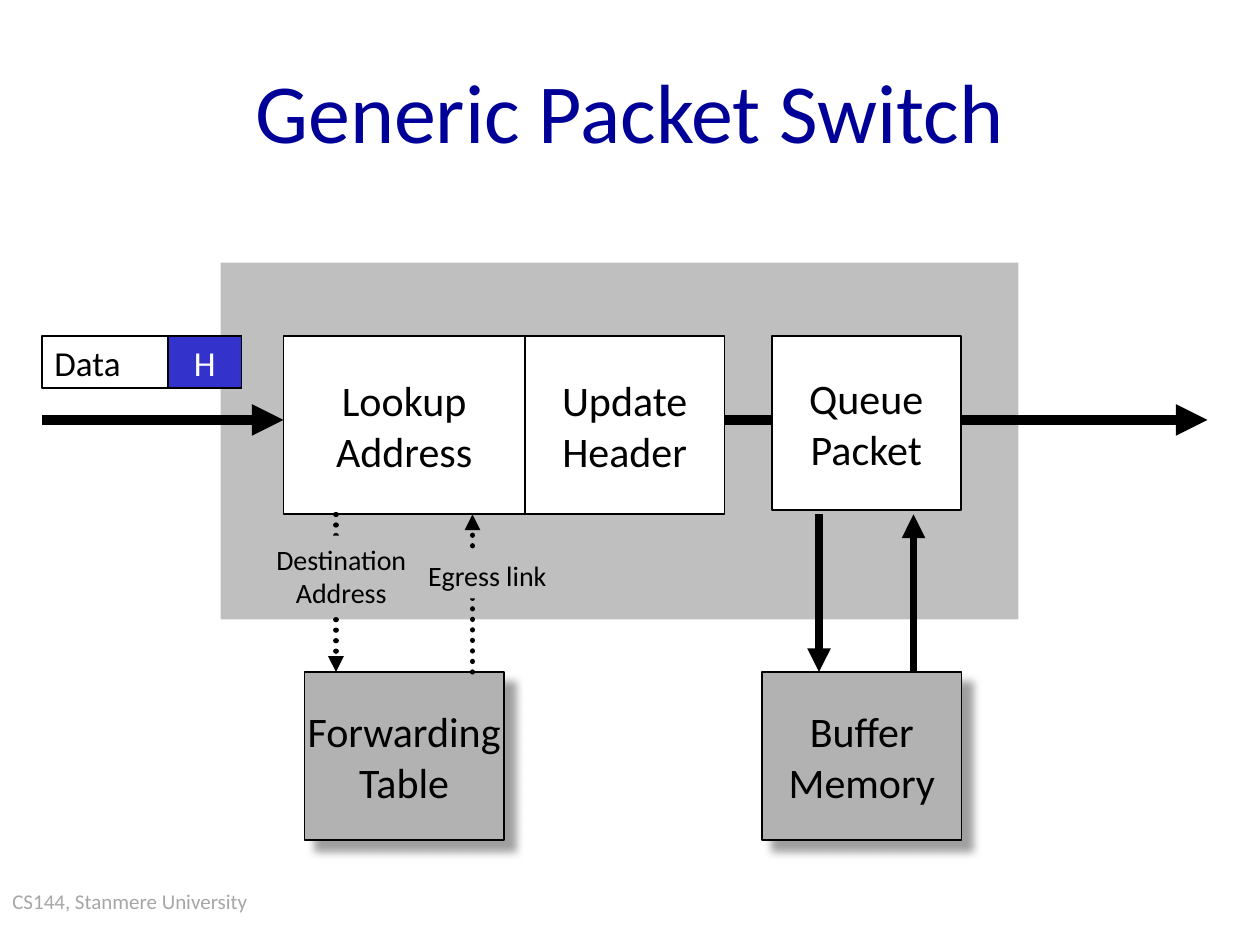
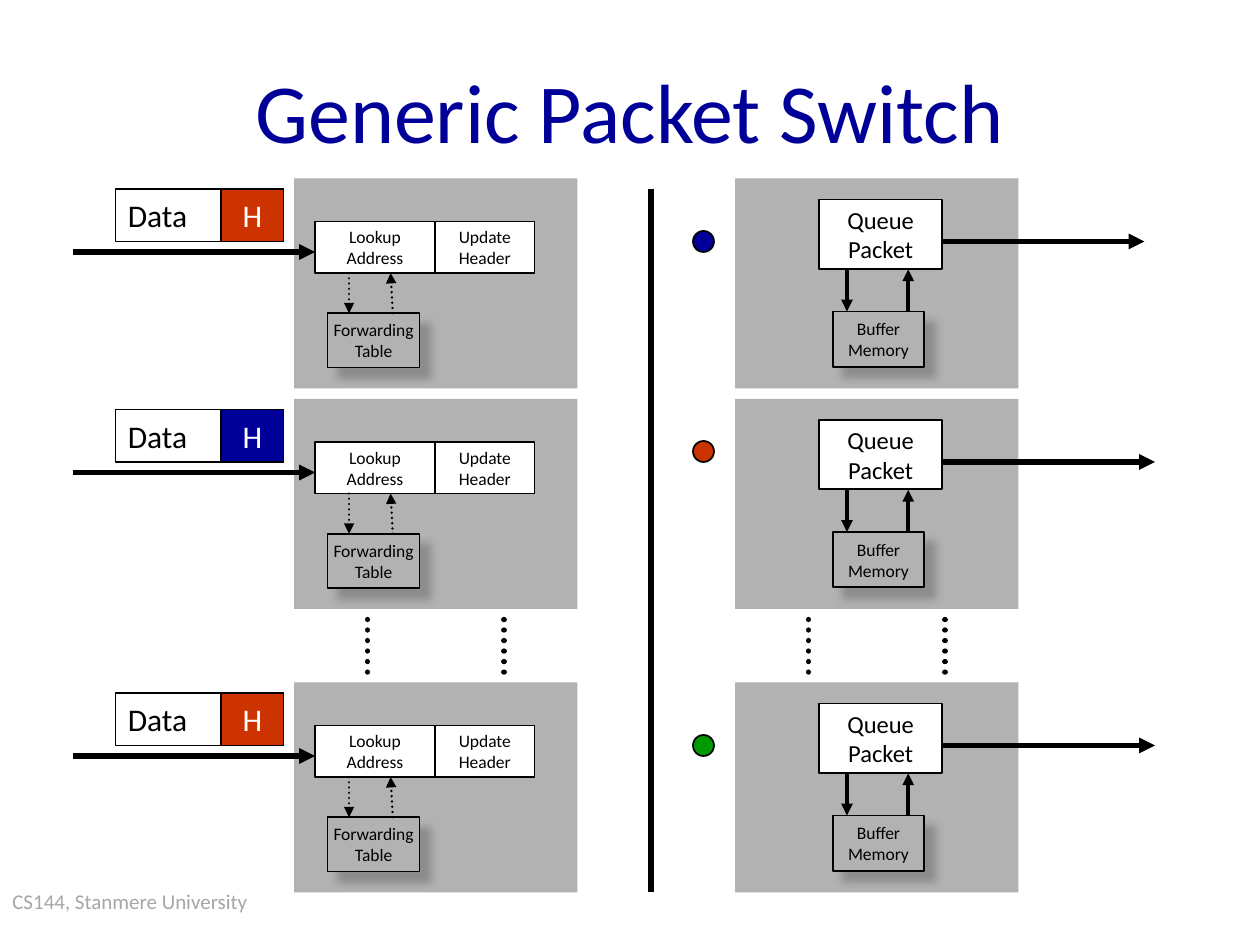
from dataclasses import dataclass

from lxml import etree
from pptx import Presentation
from pptx.dml.color import RGBColor
from pptx.enum.dml import MSO_LINE
from pptx.enum.shapes import MSO_CONNECTOR, MSO_SHAPE
from pptx.enum.text import MSO_ANCHOR, PP_ALIGN
from pptx.oxml.ns import qn
from pptx.util import Pt

RECTANGLE, OVAL = MSO_SHAPE.RECTANGLE, MSO_SHAPE.OVAL
STRAIGHT = MSO_CONNECTOR.STRAIGHT
DOTTED = MSO_LINE.ROUND_DOT
LEFT, CENTER = PP_ALIGN.LEFT, PP_ALIGN.CENTER
TOP, MIDDLE = MSO_ANCHOR.TOP, MSO_ANCHOR.MIDDLE


@dataclass(frozen=True)
class Theme:
    font: str = "Calibri"
    black: str = "000000"
    white: str = "FFFFFF"
    navy: str = "000099"
    violet: str = "3333CC"
    red: str = "CC3300"
    green: str = "009900"
    panel: str = "BFBFBF"
    gray: str = "B2B2B2"
    shadow: str = "808080"
    footer: str = "A6A6A6"
    title_size: float = 48
    stage_size: float = 24
    data_size: float = 20
    row_data_size: float = 18
    label_size: float = 16
    queue_size: float = 14
    footer_size: float = 12
    small_size: float = 10
    outline: float = 1


THEME = Theme()


def color(value):
    return RGBColor.from_string(value)


def write(shape, text, size, ink=THEME.black, align=CENTER, anchor=MIDDLE):
    frame = shape.text_frame
    frame.text = text
    frame.word_wrap = align == LEFT
    frame.vertical_anchor = anchor
    for paragraph in frame.paragraphs:
        paragraph.alignment = align
        paragraph.font.name = THEME.font
        paragraph.font.size = Pt(size)
        paragraph.font.color.rgb = color(ink)


def add_text(slide, bounds, text, size, ink, align=CENTER, anchor=MIDDLE):
    box = slide.shapes.add_textbox(*map(Pt, bounds))
    write(box, text, size, ink, align, anchor)


def add_box(slide, bounds, fill, outlined=True, kind=RECTANGLE):
    shape = slide.shapes.add_shape(kind, *map(Pt, bounds))
    shape.shadow.inherit = False
    shape.fill.solid()
    shape.fill.fore_color.rgb = color(fill)
    if outlined:
        shape.line.color.rgb = color(THEME.black)
        shape.line.width = Pt(THEME.outline)
    else:
        shape.line.fill.background()
    return shape


def add_stage(slide, bounds, text, size):
    write(add_box(slide, bounds, THEME.white), text, size)


def add_store(slide, bounds, text, size):
    shape = add_box(slide, bounds, THEME.gray)
    write(shape, text, size)
    effects = shape._element.spPr.find(qn("a:effectLst"))
    shadow = etree.SubElement(effects, qn("a:outerShdw"), blurRad=str(Pt(5)),
                              dist=str(Pt(8.5)), dir="2700000", algn="ctr", rotWithShape="0")
    tint = etree.SubElement(shadow, qn("a:srgbClr"), val=THEME.shadow)
    etree.SubElement(tint, qn("a:alpha"), val="75000")


def add_label(slide, bounds, text):
    write(add_box(slide, bounds, THEME.panel, outlined=False), text, THEME.label_size)


def add_line(slide, start, end, width, arrow=True, dotted=False):
    connector = slide.shapes.add_connector(STRAIGHT, *map(Pt, start + end))
    connector.line.color.rgb = color(THEME.black)
    connector.line.width = Pt(width)
    properties = connector._element.spPr
    outline = properties.find(qn("a:ln"))
    if dotted:
        connector.line.dash_style = DOTTED
        outline.set("cap", "rnd")
    if arrow:
        etree.SubElement(outline, qn("a:tailEnd"), type="triangle")
    etree.SubElement(properties, qn("a:effectLst"))


def add_packet(slide, bounds, header_width, header_fill, size):
    left, top, width, height = bounds
    write(add_box(slide, bounds, THEME.white), "Data", size, align=LEFT)
    header = (left + width - header_width, top, header_width, height)
    write(add_box(slide, header, header_fill), "H", size, THEME.white)


def add_slide(presentation):
    slide = presentation.slides.add_slide(presentation.slide_layouts[6])
    add_text(slide, (0, 504, 174, 36), "CS144, Stanmere University",
             THEME.footer_size, THEME.footer, LEFT, TOP)
    add_text(slide, (54, 18, 612, 90), "Generic Packet Switch",
             THEME.title_size, THEME.navy)
    return slide


def add_ingress(slide, top, header_fill):
    size = THEME.small_size
    add_box(slide, (168, top, 162, 120), THEME.gray, outlined=False)
    add_stage(slide, (180, top + 24.5, 68.5, 29.5), "Lookup\nAddress", size)
    add_stage(slide, (248.5, top + 24.5, 57, 29.5), "Update\nHeader", size)
    add_store(slide, (187.2, top + 77, 52.6, 31), "Forwarding\nTable", size)
    add_line(slide, (199.5, top + 54), (199.5, top + 77), 1.5, dotted=True)
    add_line(slide, (224.5, top + 77), (223.2, top + 54), 1.5, dotted=True)
    add_line(slide, (42, top + 42), (180, top + 42), 3)
    add_packet(slide, (66, top + 6, 96, 30), 35.5, header_fill, THEME.row_data_size)


def add_egress(slide, top, arrow_end):
    add_box(slide, (420, top, 162, 120), THEME.gray, outlined=False)
    add_stage(slide, (468, top + 12, 70.5, 39.6), "Queue\nPacket", THEME.queue_size)
    add_store(slide, (476, top + 76, 52, 31.6), "Buffer\nMemory", THEME.small_size)
    add_line(slide, (484, top + 52), (484, top + 76), 2.25)
    add_line(slide, (519, top + 76), (519, top + 52), 2.25)
    add_line(slide, (539, top + 36), (arrow_end, top + 36), 3)


def build_single_switch(presentation):
    slide = add_slide(presentation)
    size = THEME.stage_size
    add_box(slide, (126, 150, 456, 204), THEME.panel, outlined=False)
    add_line(slide, (24, 240), (162, 240), 6)
    add_line(slide, (414, 240), (690, 240), 6)
    add_stage(slide, (162, 192, 138, 102), "Lookup\nAddress", size)
    add_stage(slide, (300, 192, 114, 102), "Update\nHeader", size)
    add_stage(slide, (441, 192, 108, 99.5), "Queue\nPacket", size)
    add_packet(slide, (24, 192, 114, 30), 42, THEME.violet, THEME.data_size)

    add_line(slide, (192, 294), (192, 384), 3, dotted=True)
    add_label(slide, (150, 306, 90, 46), "Destination\nAddress")
    add_store(slide, (174, 384, 114, 96), "Forwarding\nTable", size)
    add_line(slide, (270, 384), (270, 294), 3, dotted=True)
    add_label(slide, (237, 315.5, 83, 26.5), "Egress link")

    add_store(slide, (435.5, 384, 114, 96), "Buffer\nMemory", size)
    add_line(slide, (468, 294), (468, 384), 4.5)
    add_line(slide, (522, 384), (522, 294), 4.5)


def build_many_ports(presentation):
    slide = add_slide(presentation)
    rows = (
        (102, THEME.red, THEME.navy, 30, 654),
        (228, THEME.navy, THEME.red, 24, 660),
        (390, THEME.red, THEME.green, 30, 660),
    )
    for top, header_fill, dot_fill, dot_offset, arrow_end in rows:
        add_ingress(slide, top, header_fill)
        add_egress(slide, top, arrow_end)
        add_box(slide, (396, top + dot_offset, 12, 12), dot_fill, kind=OVAL)
    for x in (210, 288, 462, 540):
        add_line(slide, (x, 354), (x, 390), 3, arrow=False, dotted=True)
    add_line(slide, (372, 108), (372, 510), 3, arrow=False)


def main():
    presentation = Presentation()
    presentation.slide_width, presentation.slide_height = Pt(720), Pt(540)
    build_single_switch(presentation)
    build_many_ports(presentation)
    presentation.save("out.pptx")


main()
